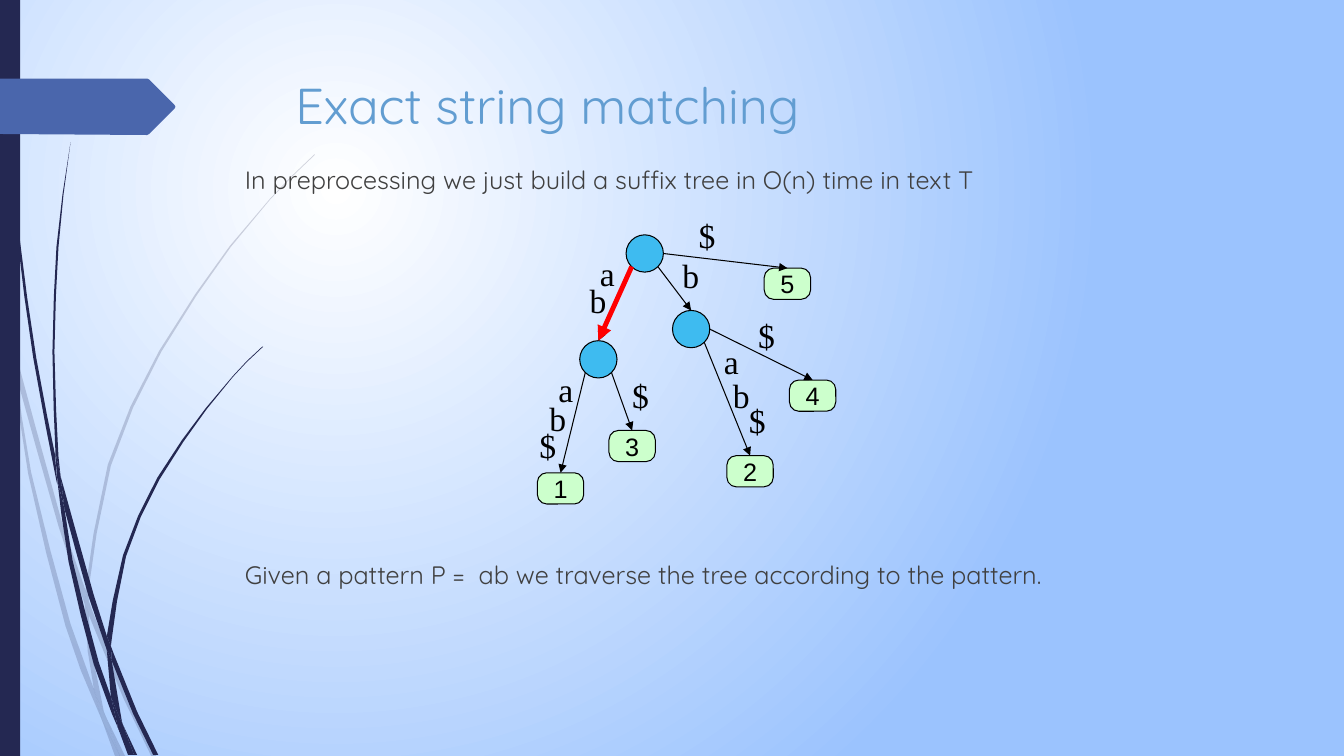
from math import dist
from pptx import Presentation
from pptx.dml.color import RGBColor
from pptx.enum.shapes import MSO_CONNECTOR as CONNECTOR, MSO_SHAPE as SHAPE
from pptx.enum.text import MSO_ANCHOR as ANCHOR, PP_ALIGN as ALIGN
from pptx.oxml.ns import qn
from pptx.util import Inches, Pt
from lxml.etree import SubElement

# Content
TITLE = ("Exact string matching", 2.83, 0.69, 9.75, 1.4)
STATEMENTS = [
    ("In preprocessing we just build a suffix tree in O(n) time in text T", 2.33, 1.58, 8.5, 0.4),
    ("Given a pattern P =  ab we traverse the tree according to the pattern.", 2.33, 5.5, 8.5, 0.71),
]
INNER_NODES = {"root": (6.21, 2.33), "ab": (5.75, 3.38), "b": (6.67, 3.08)}
LEAVES = {"1": (5.33, 4.69), "2": (7.21, 4.52), "3": (6.04, 4.27), "4": (7.83, 3.77), "5": (7.58, 2.66)}
# parent, child, side of the parent, letters with their places
EDGES = [
    ("root", "ab", "lower left", [("a", 5.85, 2.46), ("b", 5.75, 2.73)]),
    ("root", "b", "lower right", [("b", 6.67, 2.48)]),
    ("root", "5", "right", [("$", 6.83, 2.08)]),
    ("ab", "1", "lower left", [("a", 5.44, 3.61), ("b", 5.35, 3.9), ("$", 5.25, 4.17)]),
    ("ab", "3", "lower right", [("$", 6.17, 3.67)]),
    ("b", "2", "lower right", [("a", 7.08, 3.33), ("b", 7.17, 3.67), ("$", 7.33, 3.92)]),
    ("b", "4", "right", [("$", 7.42, 3.08)]),
]
MATCHED_EDGE = ("root", "ab", "lower left")

# Grass blades: each one is a pair of edges, down one side and back along the other
PALE_BLADES = [
    ([(0.11, 3.5), (0.09, 3.22), (0, 2.82)], [(0, 2.99), (0.1, 3.44)]),
    ([(0.17, 3.76), (0.58, 5.22), (0.84, 5.99)], [(0.85, 5.86), (0.62, 5.2), (0.14, 3.45)]),
    ([(1.5, 7.5), (1.23, 6.94), (0.88, 6.1)], [(0.88, 5.96), (0.92, 6.07), (1.27, 6.92), (1.55, 7.5)]),
    ([(1.19, 7.5), (1.24, 7.5)], [(1.05, 7.11)]),
    ([(0.93, 6.83), (0.7, 6.19), (0.31, 4.69), (0.17, 3.76)],
     [(0.11, 3.5), (0.28, 4.7), (0.65, 6.21), (0.92, 6.93), (1.01, 7.14), (0.99, 7.07)]),
    ([(0.84, 5.99), (0.87, 6.46), (0.93, 6.83), (0.96, 6.92), (1.05, 7.11)],
     [(1.03, 7.06), (0.91, 6.46), (0.88, 6.1), (0.88, 6.08)]),
    ([(0.88, 5.96), (0.88, 5.84), (1.1, 4.62), (1.6, 3.49), (2.29, 2.45), (2.68, 1.98), (2.9, 1.75), (3.12, 1.54)],
     [(3.12, 1.53), (2.89, 1.75), (2.68, 1.97), (2.28, 2.44), (1.58, 3.48), (1.07, 4.61), (0.85, 5.84), (0.85, 5.86)]),
    ([(1.01, 7.14), (1.14, 7.5)], [(1.19, 7.5)]),
    ([(0.88, 6.08), (0.88, 6.1), (0.88, 5.96)], [(0.85, 5.86), (0.84, 5.99)]),
    ([(0.93, 6.83), (0.99, 7.07), (1.01, 7.14), (1.19, 7.5)], [(1.05, 7.11), (0.96, 6.92)]),
]
DARK_BLADES = [
    ([(0.03, 0), (0.04, 0.48), (0.07, 1.1), (0.17, 2.33), (0.33, 3.55), (0.56, 4.77), (0.57, 4.81)],
     [(0.55, 4.57), (0.55, 4.53), (0.36, 3.55), (0.19, 2.32), (0.08, 1.09), (0.05, 0.48), (0.04, 0)]),
    ([(0.64, 5.05), (0.88, 5.92), (1.06, 6.45)], [(1.06, 6.33), (1.06, 6.31), (0.93, 5.9), (0.6, 4.72)]),
    ([(1.1, 6.41), (1.11, 6.56), (1.32, 7.08), (1.52, 7.49)], [(1.57, 7.49), (1.36, 7.06), (1.13, 6.49)]),
    ([(1.1, 6.91), (0.98, 6.57), (0.72, 5.56), (0.64, 5.05)],
     [(0.57, 4.77), (0.68, 5.57), (0.93, 6.59), (1.11, 7.08), (1.17, 7.22), (1.16, 7.17)]),
    ([(0.6, 4.72), (0.58, 4.53), (0.54, 3.49), (0.58, 2.45), (0.63, 1.93), (0.7, 1.41)],
     [(0.7, 1.41), (0.62, 1.93), (0.56, 2.45), (0.52, 3.49), (0.55, 4.49)]),
    ([(1.33, 7.49), (1.36, 7.49)], [(1.22, 7.19)]),
    ([(0.57, 4.77), (0.64, 5.05)], [(0.6, 4.72), (0.55, 4.49), (0.55, 4.53)]),
    ([(1.1, 6.41), (1.11, 6.33), (1.25, 5.52), (1.58, 4.76), (2.05, 4.06), (2.31, 3.74), (2.45, 3.59), (2.61, 3.44)],
     [(2.6, 3.44), (2.45, 3.58), (2.31, 3.73), (2.04, 4.05), (1.56, 4.74), (1.22, 5.51), (1.06, 6.31)]),
    ([(1.17, 7.22), (1.27, 7.49)], [(1.31, 7.49)]),
    ([(1.06, 6.45), (1.1, 6.91), (1.16, 7.06), (1.22, 7.19)], [(1.21, 7.16), (1.11, 6.56), (1.09, 6.51)]),
    ([(1.06, 6.45), (1.09, 6.51), (1.11, 6.56)], [(1.1, 6.41), (1.06, 6.31)]),
    ([(1.1, 6.91), (1.16, 7.17), (1.17, 7.22), (1.3, 7.49)], [(1.33, 7.49), (1.22, 7.19), (1.16, 7.06)]),
]
TAG = [(0, 0.78), (1.46, 0.78), (1.48, 0.79), (1.73, 1.04), (1.74, 1.06),
       (1.73, 1.08), (1.48, 1.33), (1.46, 1.34), (0, 1.33)]

THEME = {
    "glow": "FFFFFF", "sky": "9BC3FE", "navy": "242852", "tag": "4A66AC",
    "title": "629DD1", "body": "404040", "ink": "000000",
    "node": "3EBBF0", "leaf": "CCFFCC", "match": "FF0000",
    "title_size": 36, "body_size": 18, "letter_size": 24, "leaf_size": 18,
    "font": "Quicksand", "letter_font": "Times New Roman", "leaf_font": "Arial",
    "thin": 0.75, "thick": 3.5,
}
NODE_SIZE = 0.37
LEAF_SIZE = (0.46, 0.31)
LETTER_SIZE = (0.42, 0.5)
LONG_STEP = 0.7
# Points on a node's rim as shares of its size
SIDES = {"lower left": (0.15, 0.85), "lower right": (0.85, 0.85), "right": (1, 0.5)}

prs = Presentation()
prs.slide_width, prs.slide_height = Inches(13.33), Inches(7.5)
slide = prs.slides.add_slide(prs.slide_layouts[6])
shapes = slide.shapes


def rgb(key):
    return RGBColor.from_string(THEME[key])


def paint(shape, fill, outlined=False):
    shape.shadow.inherit = False
    shape.fill.solid()
    shape.fill.fore_color.rgb = rgb(fill)
    if outlined:
        shape.line.color.rgb = rgb("ink")
        shape.line.width = Pt(THEME["thin"])
    else:
        shape.line.fill.background()
    return shape


def write(shape, text, *, font, size, color, align=ALIGN.LEFT, anchor=ANCHOR.TOP, wrap=True):
    frame = shape.text_frame
    frame.word_wrap = wrap
    frame.vertical_anchor = anchor
    paragraph = frame.paragraphs[0]
    paragraph.alignment = align
    run = paragraph.add_run()
    run.text = text
    run.font.name = THEME[font]
    run.font.size = Pt(THEME[size])
    run.font.color.rgb = rgb(color)


def text_box(*place):
    return shapes.add_textbox(*map(Inches, place))


def smooth(edge):
    """Put a point of the curve through the edge halfway along each long step."""
    ends = [edge[0], *edge, edge[-1]]
    curve = [edge[0]]
    for a, b, c, d in zip(ends, ends[1:], ends[2:], ends[3:]):
        if dist(b, c) > LONG_STEP:
            curve.append(tuple((9 * (q + r) - p - s) / 16 for p, q, r, s in zip(a, b, c, d)))
        curve.append(c)
    return curve


def outline(points, fill):
    start, *rest = [(Inches(x), Inches(y)) for x, y in points]
    builder = shapes.build_freeform(*start, scale=1.0)
    builder.add_line_segments(rest, close=True)
    return paint(builder.convert_to_shape(), fill)


def draw_edge(parent, child, side, color, width):
    x, y = (Inches(at + share * NODE_SIZE) for at, share in zip(INNER_NODES[parent], SIDES[side]))
    arrow = shapes.add_connector(CONNECTOR.STRAIGHT, x, y, x, y)
    arrow.end_connect(tree[child], 0)
    arrow.line.color.rgb = rgb(color)
    arrow.line.width = Pt(THEME[width])
    SubElement(arrow.line._get_or_add_ln(), qn("a:tailEnd"), type="triangle")
    SubElement(arrow._element.spPr, qn("a:effectLst"))


# Background glow
sky = slide.background.fill
sky.gradient()
for stop, key in zip(sky.gradient_stops, ("glow", "sky")):
    stop.color.rgb = rgb(key)
gradient = slide.element.find(".//" + qn("a:gradFill"))
gradient.remove(gradient.find(qn("a:lin")))
glow = SubElement(gradient, qn("a:path"), path="circle")
SubElement(glow, qn("a:fillToRect"), l="50000", t="50000", r="100000", b="100000")

# Grass, side bar and tag
for blades, opacity in ((PALE_BLADES, "20000"), (DARK_BLADES, None)):
    for down, back in blades:
        blade = outline(smooth(down) + smooth(back), "navy")
        if opacity:
            SubElement(blade._element.spPr.find(".//" + qn("a:srgbClr")), qn("a:alpha"), val=opacity)
paint(shapes.add_shape(SHAPE.RECTANGLE, 0, 0, Inches(0.2), prs.slide_height), "navy")
outline(TAG, "tag")

# Title and statements
write(text_box(*TITLE[1:]), TITLE[0], font="font", size="title_size", color="title")
for statement, *place in STATEMENTS:
    write(text_box(*place), statement, font="font", size="body_size", color="body")

# Suffix tree nodes
tree = {}
for name, place in INNER_NODES.items():
    tree[name] = paint(shapes.add_shape(
        SHAPE.OVAL, *map(Inches, (*place, NODE_SIZE, NODE_SIZE))), "node", outlined=True)
for number, place in LEAVES.items():
    leaf = paint(shapes.add_shape(
        SHAPE.ROUNDED_RECTANGLE, *map(Inches, (*place, *LEAF_SIZE))), "leaf", outlined=True)
    leaf.adjustments[0] = 0.3
    write(leaf, number, font="leaf_font", size="leaf_size", color="ink",
          align=ALIGN.CENTER, anchor=ANCHOR.MIDDLE, wrap=False)
    tree[number] = leaf

# Edges with their letters, then the matched edge on top
for parent, child, side, letters in EDGES:
    draw_edge(parent, child, side, "ink", "thin")
    for letter, *place in letters:
        write(text_box(*place, *LETTER_SIZE), letter, font="letter_font", size="letter_size", color="ink")
draw_edge(*MATCHED_EDGE, "match", "thick")

prs.save("out.pptx")
